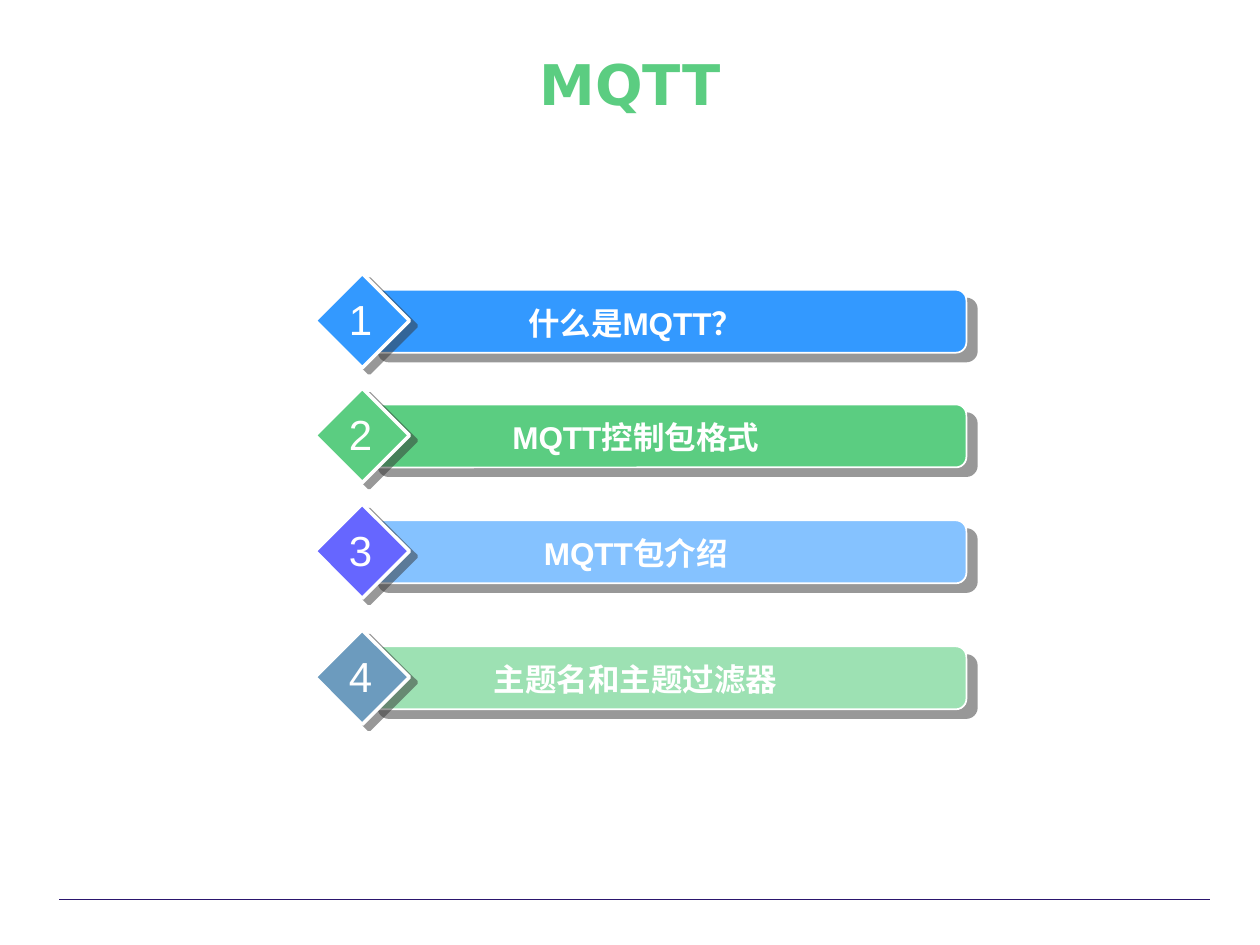
from lxml import etree
from pptx import Presentation, util as u
from pptx.dml.color import RGBColor
from pptx.enum import shapes as sh, text as tx
from pptx.oxml.ns import qn

WIDE, HIGH = 10, 7.5
WHITE = "FFFFFF"
ITEMS = [
    (2.17, "3399FF", "3399FF", "什么是MQTT？"),
    (3.08, "5BCD81", "5BCD81", "MQTT控制包格式"),
    (4, "6666FF", "85C2FF", "MQTT包介绍"),
    (5, "6C9BBE", "9DE1B3", "主题名和主题过滤器"),
]


def paint(part, tone):
    """Give a fill or a font a solid colour from a hex string."""
    if hasattr(part, "solid"):
        part.solid()
        part = part.fore_color
    else:
        part = part.color
    part.rgb = RGBColor.from_string(tone)


def place(*box):
    """Turn left, top, width and height in inches into lengths."""
    return [u.Inches(side) for side in box]


def shade(shape, dist, angle):
    """Add a hard, half clear grey shadow."""
    shape.shadow.inherit = False
    effects = shape._element.spPr.find(qn("a:effectLst"))
    outer = etree.SubElement(effects, qn("a:outerShdw"), blurRad="0",
                             dist=str(u.Pt(dist)), dir=str(angle * 60000),
                             algn="ctr", rotWithShape="0")
    tone = etree.SubElement(outer, qn("a:srgbClr"), val="333333")
    etree.SubElement(tone, qn("a:alpha"), val="50000")


def solid(group, kind, box, tone, width, dist, angle):
    """Draw a filled shape with a white edge and a shadow."""
    shape = group.shapes.add_shape(kind, *place(*box))
    paint(shape.fill, tone)
    paint(shape.line, WHITE)
    shape.line.width = u.Pt(width)
    shade(shape, dist, angle)
    return shape


def label(home, words, box, size, tone=WHITE, bold=False, face="Arial", wrap=True):
    """Write one centred line of text."""
    frame = home.shapes.add_textbox(*place(*box)).text_frame
    frame.text = words
    frame.word_wrap = wrap
    frame.vertical_anchor = tx.MSO_ANCHOR.MIDDLE
    line = frame.paragraphs[0]
    line.alignment = tx.PP_ALIGN.CENTER
    for run in line.runs:
        run.font.size = u.Pt(size)
        run.font.name = face
        run.font.bold = bold
        paint(run.font, tone)


def entry(slide, num, top, gem, tone, words):
    """Draw one numbered entry: bar, diamond, title and number."""
    group = slide.shapes.add_group_shape()
    bar = solid(group, sh.MSO_SHAPE.ROUNDED_RECTANGLE,
                (2.92, top + 0.13, 4.75, 0.5), tone, 1, 7.8, 40)
    bar.adjustments[0] = 0.167
    solid(group, sh.MSO_SHAPE.DIAMOND, (2.5, top, 0.75, 0.75), gem, 2, 5, 37)
    label(group, words, (3.17, top + 0.19, 3.75, 0.4), 18, bold=True)
    label(group, str(num), (2.67, top + 0.11, 0.38, 0.5), 24, wrap=False)


def rule(slide, left, right, top):
    """Draw the thin line at the foot of the slide."""
    line = slide.shapes.add_connector(
        sh.MSO_CONNECTOR.STRAIGHT, *place(left, top, right, top))
    paint(line.line.fill, "2B166E")
    line.line.width = u.Pt(0.75)
    etree.SubElement(line._element.spPr, qn("a:effectLst"))


def main():
    """Build and save the slide."""
    deck = Presentation()
    deck.slide_width, deck.slide_height = place(WIDE, HIGH)
    slide = deck.slides.add_slide(deck.slide_layouts[6])
    rule(slide, 0.47, 9.6, 7.14)
    label(slide, "MQTT", (0.05 * WIDE, 0.35, 0.9 * WIDE, 0.62), 32, "5BCD81",
          True, "DejaVu Sans")
    for num, item in enumerate(ITEMS, 1):
        entry(slide, num, *item)
    deck.save("out.pptx")


if __name__ == "__main__":
    main()
